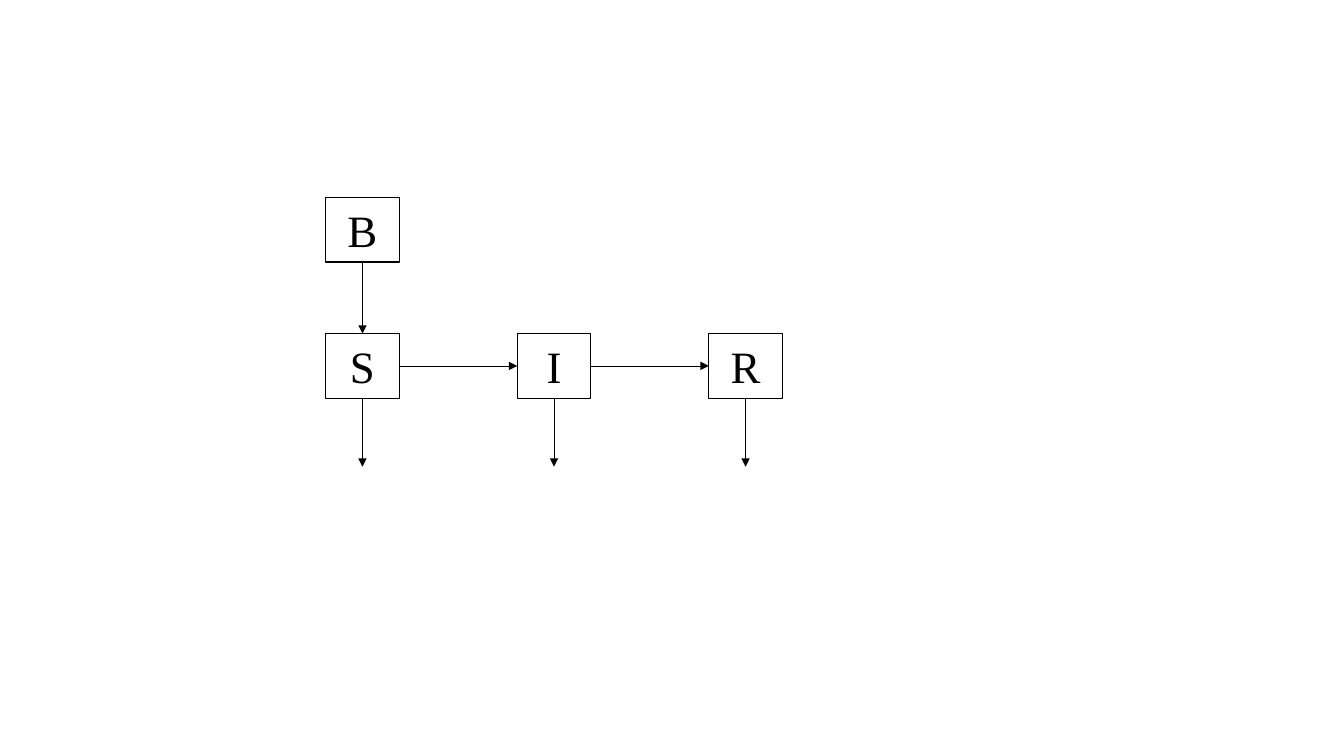
import pptx
import pptx.util
import pptx.dml.color
import pptx.enum.shapes
import pptx.enum.text
import pptx.oxml
import pptx.oxml.ns
from pptx.util import Inches

# Each box: column, row
BOXES = {"S": (0, 1), "I": (1, 1), "R": (2, 1), "B": (0, 0)}
ACROSS = [("S", "I"), ("I", "R")]
DOWN = [("B", "S")]
EXITS = ["S", "I", "R"]

LEFT, TOP = 3.23, 1.96
STEP_X, STEP_Y = 1.9, 1.35
WIDE, HIGH = 0.73, 0.64
EXIT = 0.68
FONT, SIZE = "Times New Roman", 32
BLACK, WHITE = "000000", "FFFFFF"


def color(fmt, code):
    fmt.rgb = pptx.dml.color.RGBColor.from_string(code)


def stroke(line, width):
    line.fill.solid()
    color(line.fill.fore_color, BLACK)
    line.width = pptx.util.Pt(width)


def corner(name):
    col, row = BOXES[name]
    return LEFT + col * STEP_X, TOP + row * STEP_Y


def add_box(slide, name):
    x, y = corner(name)
    box = slide.shapes.add_shape(
        pptx.enum.shapes.MSO_SHAPE.RECTANGLE,
        Inches(x), Inches(y), Inches(WIDE), Inches(HIGH))
    box.shadow.inherit = False
    box.fill.solid()
    color(box.fill.fore_color, WHITE)
    stroke(box.line, 0.75)
    frame = box.text_frame
    frame.word_wrap = True
    frame.auto_size = pptx.enum.text.MSO_AUTO_SIZE.SHAPE_TO_FIT_TEXT
    frame.vertical_anchor = pptx.enum.text.MSO_ANCHOR.TOP
    para = frame.paragraphs[0]
    para.alignment = pptx.enum.text.PP_ALIGN.CENTER
    run = para.add_run()
    run.text = name
    run.font.name = FONT
    run.font.size = pptx.util.Pt(SIZE)
    color(run.font.color, BLACK)
    return box


def add_arrow(slide, x1, y1, x2, y2):
    arrow = slide.shapes.add_connector(
        pptx.enum.shapes.MSO_CONNECTOR.STRAIGHT,
        Inches(x1), Inches(y1), Inches(x2), Inches(y2))
    stroke(arrow.line, 0.5)
    props = arrow.element.spPr
    tail = pptx.oxml.parse_xml(
        f'<a:tailEnd {pptx.oxml.ns.nsdecls("a")} type="triangle"/>')
    props.find(pptx.oxml.ns.qn("a:ln")).append(tail)
    props.append(pptx.oxml.parse_xml(
        f'<a:effectLst {pptx.oxml.ns.nsdecls("a")}/>'))
    return arrow


def main():
    deck = pptx.Presentation()
    deck.slide_width, deck.slide_height = Inches(13.33), Inches(7.5)
    slide = deck.slides.add_slide(deck.slide_layouts[6])
    boxes = {name: add_box(slide, name) for name in BOXES}

    # Connection sites: 0 top, 1 left, 2 bottom, 3 right
    for start, end in ACROSS:
        x, y = corner(start)
        mid = y + HIGH / 2
        arrow = add_arrow(slide, x + WIDE, mid, corner(end)[0], mid)
        arrow.begin_connect(boxes[start], 3)
        arrow.end_connect(boxes[end], 1)
    for start, end in DOWN:
        x, y = corner(start)
        mid = x + WIDE / 2
        arrow = add_arrow(slide, mid, y + HIGH, mid, corner(end)[1])
        arrow.begin_connect(boxes[start], 2)
        arrow.end_connect(boxes[end], 0)
    for start in EXITS:
        x, y = corner(start)
        mid, low = x + WIDE / 2, y + HIGH
        arrow = add_arrow(slide, mid, low, mid, low + EXIT)
        arrow.begin_connect(boxes[start], 2)

    deck.save("out.pptx")


if __name__ == "__main__":
    main()
